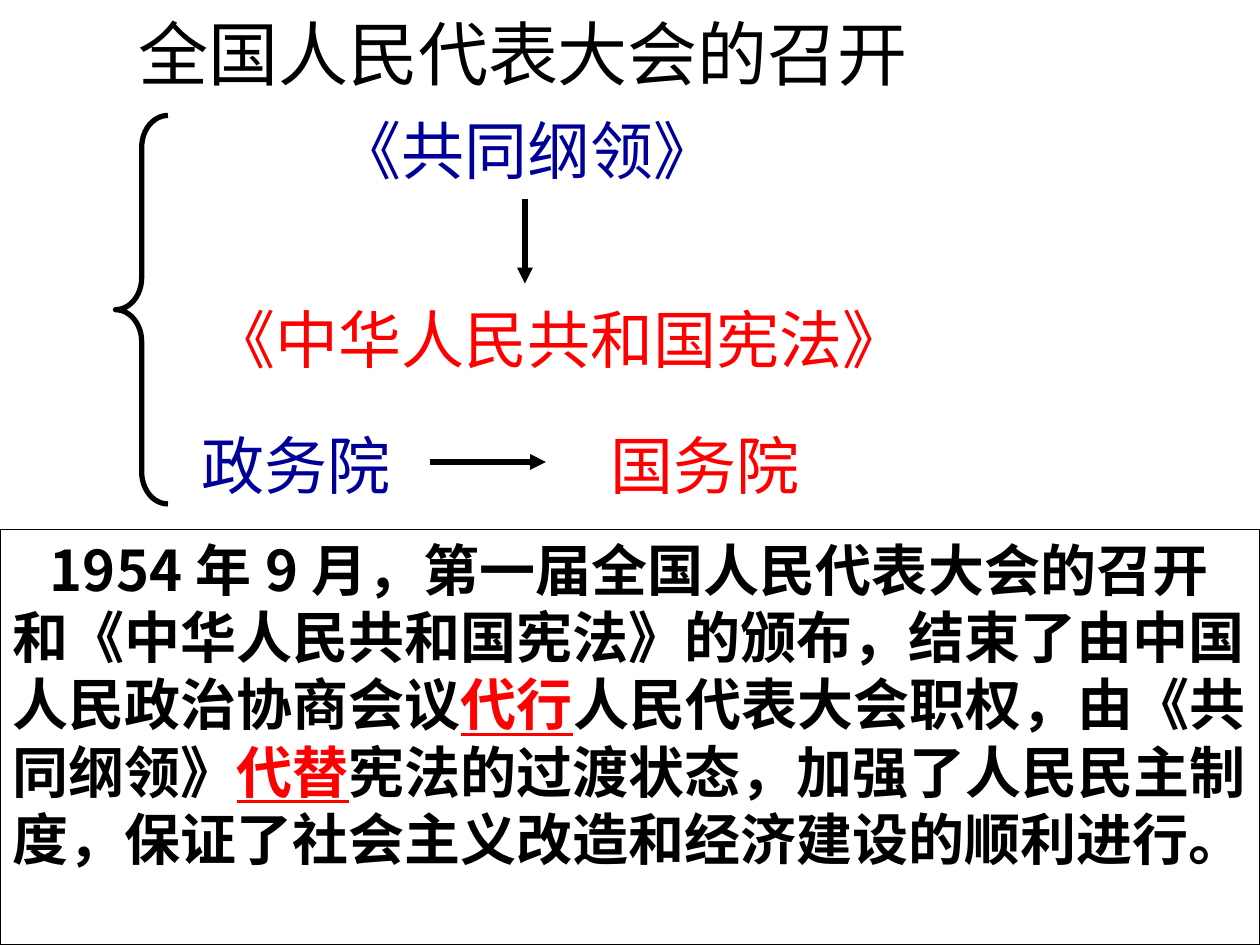
import pptx
import pptx.util
import pptx.dml.color
import pptx.enum.shapes
import pptx.enum.text
import pptx.oxml
import pptx.oxml.ns

Pt = pptx.util.Pt
ANCHOR = pptx.enum.text.MSO_ANCHOR
AUTO_SIZE = pptx.enum.text.MSO_AUTO_SIZE
SHAPE = pptx.enum.shapes.MSO_SHAPE

COLORS = {"black": "000000", "red": "FF0000", "blue": "000099"}
SANS, SERIF = "Noto Sans CJK SC", "Times New Roman"

TITLE = ("全国人民代表大会的召开", (72, 0, 600, 60))
LABELS = [
    ("《共同纲领》", "blue", 186.5, 60),
    ("《中华人民共和国宪法》", "red", 114.5, 168),
    ("政务院", "blue", 108, 240),
    ("国务院", "red", 342, 240),
]
LABEL_SIZE, LABEL_HEIGHT = 36, 50.4
LABEL_PADDING = 15  # both side insets, with a little slack
ARROWS = [(300, 114, 300, 162), (246, 264, 312, 264)]
BRACE = (66, 66, 30, 222)
SUMMARY_BOX = (0, 302.4, 720, 237.6)
SUMMARY = [
    ("1954年9月，第一届全国人民代表大会的召开和《中华人民共和国宪法》的颁布，结束了由中国人民政治协商会议", False),
    ("代行", True),
    ("人民代表大会职权，由《共同纲领》", False),
    ("代替", True),
    ("宪法的过渡状态，加强了人民民主制度，保证了社会主义改造和经济建设的顺利进行。", False),
]


def points(values):
    return [Pt(value) for value in values]


def rgb(name):
    return pptx.dml.color.RGBColor.from_string(COLORS[name])


def add_run(paragraph, text, color, **formats):
    run = paragraph.add_run()
    run.text = text
    for name, value in formats.items():
        setattr(run.font, name, value)
    run.font.color.rgb = rgb(color)
    east_asian = pptx.oxml.parse_xml(
        f'<a:ea {pptx.oxml.ns.nsdecls("a")} typeface="{SANS}"/>')
    run.font._element.append(east_asian)


def set_line(item, width):
    item.line.color.rgb = rgb("black")
    item.line.width = Pt(width)


def add_outline(slide, kind, box, width):
    shape = slide.shapes.add_shape(kind, *points(box))
    shape.shadow.inherit = False
    shape.fill.background()
    set_line(shape, width)
    return shape


def add_text(slide, text, color, box, size, font, **frame_formats):
    frame = slide.shapes.add_textbox(*points(box)).text_frame
    for name, value in frame_formats.items():
        setattr(frame, name, value)
    add_run(frame.paragraphs[0], text, color, size=Pt(size), name=font)


def add_label(slide, text, color, left, top):
    """Add a one-line label whose box is as wide as its full-width characters."""
    width = len(text) * LABEL_SIZE + LABEL_PADDING
    add_text(slide, text, color, (left, top, width, LABEL_HEIGHT), LABEL_SIZE, SERIF,
             word_wrap=False, auto_size=AUTO_SIZE.SHAPE_TO_FIT_TEXT)


def add_arrow(slide, ends):
    arrow = slide.shapes.add_connector(
        pptx.enum.shapes.MSO_CONNECTOR.STRAIGHT, *points(ends))
    set_line(arrow, 3)
    namespace = pptx.oxml.ns.nsdecls("a")
    arrow.line._get_or_add_ln().append(
        pptx.oxml.parse_xml(f'<a:tailEnd {namespace} type="triangle"/>'))
    arrow._element.spPr.append(pptx.oxml.parse_xml(f"<a:effectLst {namespace}/>"))


def add_summary(slide):
    frame = add_outline(slide, SHAPE.RECTANGLE, SUMMARY_BOX, 0.75).text_frame
    frame.word_wrap = True
    frame.vertical_anchor = ANCHOR.TOP
    paragraph = frame.paragraphs[0]
    paragraph.alignment = pptx.enum.text.PP_ALIGN.LEFT
    paragraph._p.get_or_add_pPr().set("indent", str(Pt(21.5)))
    for text, highlighted in SUMMARY:
        add_run(paragraph, text, "red" if highlighted else "black",
                size=Pt(32), name=SANS, bold=True, underline=highlighted)


def main():
    presentation = pptx.Presentation()
    presentation.slide_width, presentation.slide_height = points((720, 540))
    slide = presentation.slides.add_slide(presentation.slide_layouts[6])

    brace = add_outline(slide, SHAPE.LEFT_BRACE, BRACE, 3)
    brace.adjustments[0] = 0.61
    title, title_box = TITLE
    add_text(slide, title, "black", title_box, 40, SANS,
             word_wrap=True, vertical_anchor=ANCHOR.MIDDLE)
    for label in LABELS:
        add_label(slide, *label)
    for ends in ARROWS:
        add_arrow(slide, ends)
    add_summary(slide)
    presentation.save("out.pptx")


if __name__ == "__main__":
    main()
